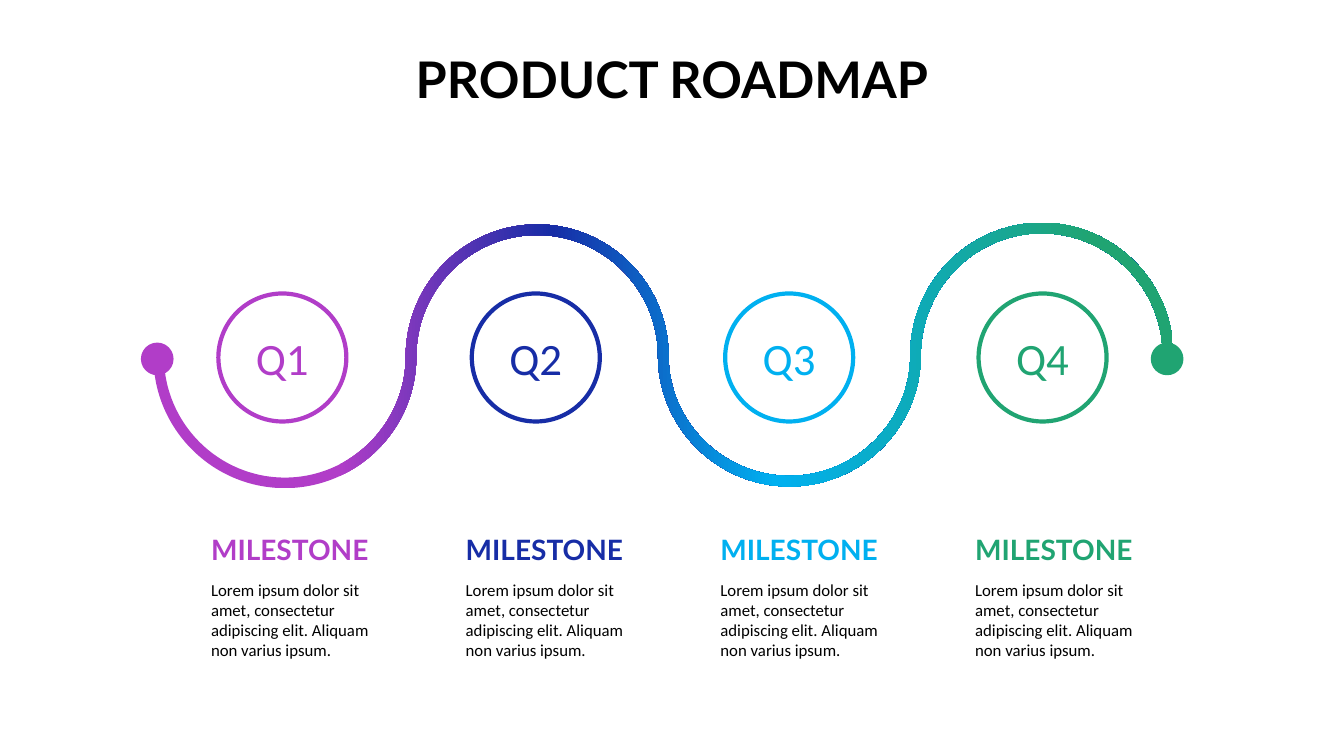
"""Build a product roadmap slide with a winding four-quarter road."""
import lxml.etree
import pptx
import pptx.dml.color
import pptx.enum.shapes
import pptx.enum.text
import pptx.oxml.ns
import pptx.util

COLUMNS, ROWS = 160, 90
CELL = pptx.util.Inches(7.5) / ROWS
BEZIER_ARC = 0.55
COLORS = {"Q1": "B13DC8", "Q2": "172DA6", "Q3": "00B0F0", "Q4": "20A472",
          "ink": "000000", "paper": "FFFFFF"}
QUARTERS = ("Q1", "Q2", "Q3", "Q4")
ROAD_STOPS = dict(zip(QUARTERS, (18, 39, 61, 92)))
BLURB = ("Lorem ipsum dolor sit amet, consectetur adipiscing elit. "
         "Aliquam non varius ipsum.")
LEFT, CENTER = pptx.enum.text.PP_ALIGN.LEFT, pptx.enum.text.PP_ALIGN.CENTER
GAP = pptx.util.Pt(10)
FONTS = {
    "title": {"name": "Lato", "size": pptx.util.Pt(36), "bold": True},
    "quarter": {"name": "Calibri", "size": pptx.util.Pt(32), "bold": False},
    "heading": {"name": "Lato", "size": pptx.util.Pt(20), "bold": True},
    "blurb": {"name": "Calibri", "size": pptx.util.Pt(12), "bold": False},
}
PARAGRAPHS = {
    "title": {"alignment": CENTER, "line_spacing": 0.9, "space_before": GAP},
    "quarter": {"alignment": CENTER},
    "heading": {"alignment": LEFT, "line_spacing": 0.9, "space_before": GAP},
    "blurb": {"alignment": LEFT, "space_before": GAP},
}


def cells(*lengths):
    """Turn grid lengths into EMU."""
    return [round(length * CELL) for length in lengths]


def rgb(key):
    """Look up a colour."""
    return pptx.dml.color.RGBColor.from_string(COLORS[key])


def write(frame, text, style, color):
    """Write one styled paragraph into a text frame."""
    frame.word_wrap = True
    paragraph = frame.paragraphs[0]
    run = paragraph.add_run()
    run.text = text
    run.font.color.rgb = rgb(color)
    for target, values in ((paragraph, PARAGRAPHS[style]), (run.font, FONTS[style])):
        for name, value in values.items():
            setattr(target, name, value)


def add_words(slide, box, text, style, color):
    """Add a text box on the grid."""
    write(slide.shapes.add_textbox(*cells(*box)).text_frame, text, style, color)


def add_disc(slide, x, y, size, fill, line, weight):
    """Add a circle around a grid point."""
    disc = slide.shapes.add_shape(pptx.enum.shapes.MSO_SHAPE.OVAL,
                                  *cells(x - size / 2, y - size / 2, size, size))
    disc.shadow.inherit = False
    disc.fill.solid()
    disc.fill.fore_color.rgb = rgb(fill)
    disc.line.color.rgb = rgb(line)
    disc.line.width = pptx.util.Pt(weight)
    return disc


def add_quarters(slide, box):
    """Spread the quarter rings across the box."""
    left, top, width, size = box
    pitch = (width - size) / (len(QUARTERS) - 1)
    for index, quarter in enumerate(QUARTERS):
        ring = add_disc(slide, left + size / 2 + index * pitch, top + size / 2,
                        size, "paper", quarter, 3)
        ring.text_frame.vertical_anchor = pptx.enum.text.MSO_ANCHOR.MIDDLE
        write(ring.text_frame, quarter, "quarter", quarter)


def road_edge(box, offset):
    """List a start point, then three Bezier points for each quarter circle."""
    left, top, width, height = box
    half_band = abs(offset)
    radius = (width - 2 * half_band) / (2 * len(QUARTERS))
    half_circle = ((-1, BEZIER_ARC), (-BEZIER_ARC, 1), (0, 1),
                   (BEZIER_ARC, 1), (1, BEZIER_ARC), (1, 0))
    points = [cells(left + half_band - offset, top + height / 2 + 0.12)]
    for index in range(len(QUARTERS)):
        side = 1 if index % 2 == 0 else -1
        reach = radius + side * offset
        x = left + half_band + radius * (2 * index + 1)
        y = top + height / 2 + 0.12 - 0.1 * index
        points += [cells(x + reach * across, y + side * reach * down)
                   for across, down in half_circle]
    return points


def bend(lines):
    """Merge each three line segments into one Bezier curve."""
    qn = pptx.oxml.ns.qn
    for first in range(0, len(lines), 3):
        curve = lxml.etree.Element(qn("a:cubicBezTo"))
        lines[first].addprevious(curve)
        for line in lines[first:first + 3]:
            curve.append(line[0])
            line.getparent().remove(line)


def add_road(slide, box):
    """Draw the gradient road and its two end dots."""
    left, top, width, height = box
    near, far = road_edge(box, 0.63), road_edge(box, -0.63)[::-1]
    builder = slide.shapes.build_freeform(*near[0])
    builder.add_line_segments(near[1:] + far, close=True)
    road = builder.convert_to_shape()
    qn = pptx.oxml.ns.qn
    lines = list(road.element.iter(qn("a:lnTo")))
    bend(lines[:len(near) - 1])
    bend(lines[len(near):])
    road.shadow.inherit = False
    road.line.fill.background()
    road.fill.gradient()
    road.fill.gradient_angle = 0
    stops = next(road.element.iter(qn("a:gsLst")))
    stops[:] = []
    for quarter, percent in ROAD_STOPS.items():
        stop = lxml.etree.SubElement(stops, qn("a:gs"), pos=str(percent * 1000))
        lxml.etree.SubElement(stop, qn("a:srgbClr"), val=COLORS[quarter])
    for x, quarter in ((0.45, "Q1"), (width - 0.72, "Q4")):
        add_disc(slide, left + x, top + height / 2 + 0.38, 2.88, quarter, quarter, 6)


def add_milestones(slide, box):
    """Place a heading and blurb per quarter in equal columns."""
    left, top, width, height = box
    text_width = 23.7
    pitch = (width - text_width) / (len(QUARTERS) - 1)
    for index, quarter in enumerate(QUARTERS):
        x = left + index * pitch
        add_words(slide, (x, top, text_width, 4), "MILESTONE", "heading", quarter)
        add_words(slide, (x, top + 5.16, text_width, height - 5.16), BLURB,
                  "blurb", "ink")


def add_title(slide, box):
    """Add the centred slide title."""
    add_words(slide, box, "PRODUCT ROADMAP", "title", "ink")


def main():
    """Assemble and save the slide."""
    deck = pptx.Presentation()
    deck.slide_width, deck.slide_height = cells(COLUMNS, ROWS)
    slide = deck.slides.add_slide(deck.slide_layouts[6])
    add_quarters(slide, (26, 34.94, 105.74, 15.24))
    add_road(slide, (18.27, 26.5, 121.4, 31.7))
    add_milestones(slide, (23.94, 63.24, 114.66, 14.4))
    add_title(slide, (3, 6, 154, 8.3))
    deck.save("out.pptx")


main()
